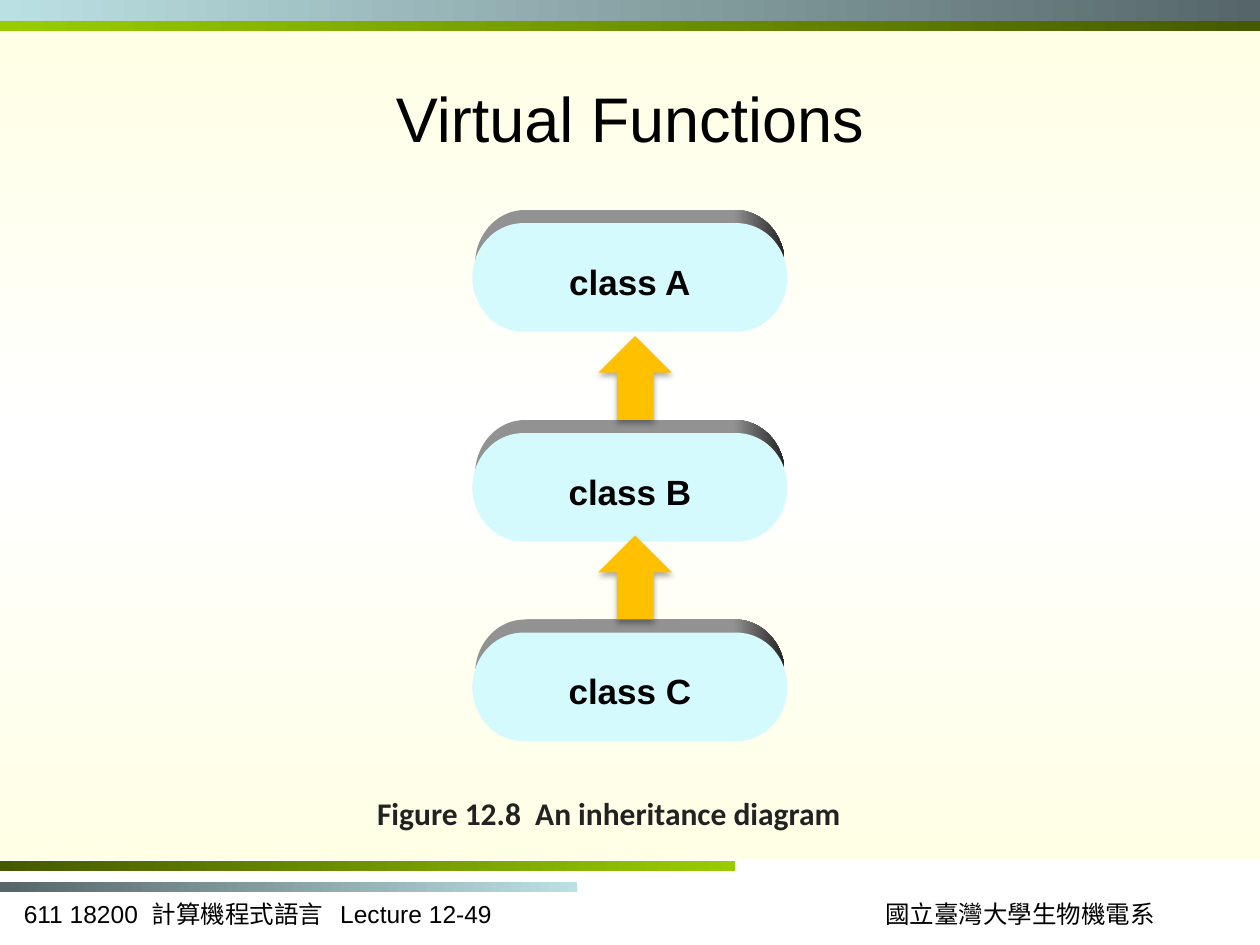
from copy import deepcopy
from dataclasses import dataclass

from lxml.etree import SubElement
from pptx import Presentation
from pptx.dml.color import RGBColor
from pptx.enum.shapes import MSO_SHAPE
from pptx.enum.text import MSO_ANCHOR, PP_ALIGN
from pptx.oxml.ns import qn
from pptx.util import Pt


@dataclass(frozen=True)
class Theme:
    black: str = "000000"
    caption: str = "222222"
    lime: str = "99CC00"
    moss: str = "455A00"
    aqua: str = "BBE0E3"
    slate: str = "566668"
    cream: str = "FFFFE5"
    white: str = "FFFFFF"
    class_face: str = "D5FAFD"
    class_edge: str = "929292"
    class_shade: str = "222222"
    arrow: str = "FFC000"
    title_size: int = 36
    class_size: int = 20
    caption_size: int = 18
    footer_size: int = 14


@dataclass(frozen=True)
class Box:
    left: float
    top: float
    width: float
    height: float

    def lengths(self):
        return Pt(self.left), Pt(self.top), Pt(self.width), Pt(self.height)


@dataclass(frozen=True)
class Band:
    box: Box
    colors: tuple[str, ...]
    angle: int = 0


@dataclass(frozen=True)
class Label:
    text: str
    box: Box
    font: str
    size: int
    color: str
    bold: bool = False
    align: PP_ALIGN = PP_ALIGN.CENTER


THEME = Theme()
BANDS = (
    Band(Box(0, 16.5, 720, 7.5), (THEME.lime, THEME.moss)),
    Band(Box(0, 18, 720, 473.5), (THEME.cream, THEME.white, THEME.cream), 90),
    Band(Box(0, 16.5, 720, 1.5), (THEME.lime, THEME.moss)),
)
BANDS = (
    Band(Box(0, 18, 720, 473.5), (THEME.cream, THEME.white, THEME.cream), 90),
    Band(Box(0, 12, 720, 6), (THEME.lime, THEME.moss)),
    Band(Box(0, 0, 720, 12), (THEME.aqua, THEME.slate)),
    Band(Box(0, 492, 420, 6), (THEME.moss, THEME.lime)),
    Band(Box(0, 504, 330, 6), (THEME.slate, THEME.aqua)),
)
LABELS = (
    Label("611 18200  計算機程式語言   Lecture 12-49", Box(6.5, 510, 342, 24),
          "Arial", THEME.footer_size, THEME.black, align=PP_ALIGN.LEFT),
    Label("國立臺灣大學生物機電系", Box(498, 510, 170, 24),
          "Times New Roman", THEME.footer_size, THEME.black),
    Label("Figure 12.8  An inheritance diagram", Box(36, 450, 624, 29),
          "Calibri", THEME.caption_size, THEME.caption, bold=True),
)
CLASS_TOPS = {"class A": 120, "class B": 240, "class C": 354}
ARROW_HEIGHT = 48


def add_plain(slide, kind: MSO_SHAPE, box: Box):
    shape = slide.shapes.add_shape(kind, *box.lengths())
    shape.shadow.inherit = False
    shape.line.fill.background()
    return shape


def fill_solid(shape, color: str) -> None:
    shape.fill.solid()
    shape.fill.fore_color.rgb = RGBColor.from_string(color)


def fill_gradient(shape, colors: tuple[str, ...], angle: int) -> None:
    shape.fill.gradient()
    shape.fill.gradient_angle = angle
    stop_list = shape._element.spPr.find(f".//{qn('a:gsLst')}")
    for _ in colors[2:]:
        stop_list.append(deepcopy(stop_list[-1]))
    for index, (stop, color) in enumerate(zip(shape.fill.gradient_stops, colors)):
        stop.color.rgb = RGBColor.from_string(color)
        stop.position = index / (len(colors) - 1)


def set_text(shape, label: Label) -> None:
    frame = shape.text_frame
    frame.word_wrap = True
    frame.text = label.text
    paragraph = frame.paragraphs[0]
    paragraph.alignment = label.align
    paragraph.font.name = label.font
    paragraph.font.size = Pt(label.size)
    paragraph.font.bold = label.bold
    paragraph.font.color.rgb = RGBColor.from_string(label.color)


def add_band(slide, band: Band) -> None:
    fill_gradient(add_plain(slide, MSO_SHAPE.RECTANGLE, band.box), band.colors, band.angle)


def add_class(slide, name: str, top: float) -> None:
    edge = add_plain(slide, MSO_SHAPE.FLOWCHART_TERMINATOR, Box(271.5, top, 177, 62))
    fill_gradient(edge, (THEME.class_edge,) * 6 + (THEME.class_shade,), 0)
    face_box = Box(270, top + 7.5, 180, 62)
    face = add_plain(slide, MSO_SHAPE.FLOWCHART_TERMINATOR, face_box)
    fill_solid(face, THEME.class_face)
    set_text(face, Label(name, face_box, "Arial", THEME.class_size, THEME.black, bold=True))
    face.text_frame.vertical_anchor = MSO_ANCHOR.MIDDLE
    face.text_frame.margin_top = Pt(8)


def add_arrow(slide, bottom: float) -> None:
    arrow = add_plain(slide, MSO_SHAPE.UP_ARROW,
                      Box(342, bottom - ARROW_HEIGHT, 42, ARROW_HEIGHT))
    fill_solid(arrow, THEME.arrow)
    effects = arrow._element.spPr.find(qn("a:effectLst"))
    shadow = SubElement(effects, qn("a:outerShdw"), blurRad=str(Pt(3.5)),
                        dist=str(Pt(2.2)), dir="5400000", rotWithShape="0")
    color = SubElement(shadow, qn("a:srgbClr"), val=THEME.black)
    SubElement(color, qn("a:alpha"), val="32000")


def add_title(slide, label: Label) -> None:
    title = slide.shapes.title
    title.left, title.top, title.width, title.height = label.box.lengths()
    set_text(title, label)
    title.text_frame.vertical_anchor = MSO_ANCHOR.MIDDLE
    slide.shapes._spTree.append(title._element)


def main() -> None:
    presentation = Presentation()
    presentation.slide_width, presentation.slide_height = Pt(720), Pt(540)
    slide = presentation.slides.add_slide(presentation.slide_layouts[5])
    for band in BANDS:
        add_band(slide, band)
    for label in LABELS:
        set_text(slide.shapes.add_textbox(*label.box.lengths()), label)
    add_title(slide, Label("Virtual Functions", Box(36, 22, 648, 90),
                           "Arial", THEME.title_size, THEME.black))
    for name, top in CLASS_TOPS.items():
        add_class(slide, name, top)
    for top in list(CLASS_TOPS.values())[1:]:
        add_arrow(slide, top)
    presentation.save("out.pptx")


if __name__ == "__main__":
    main()
